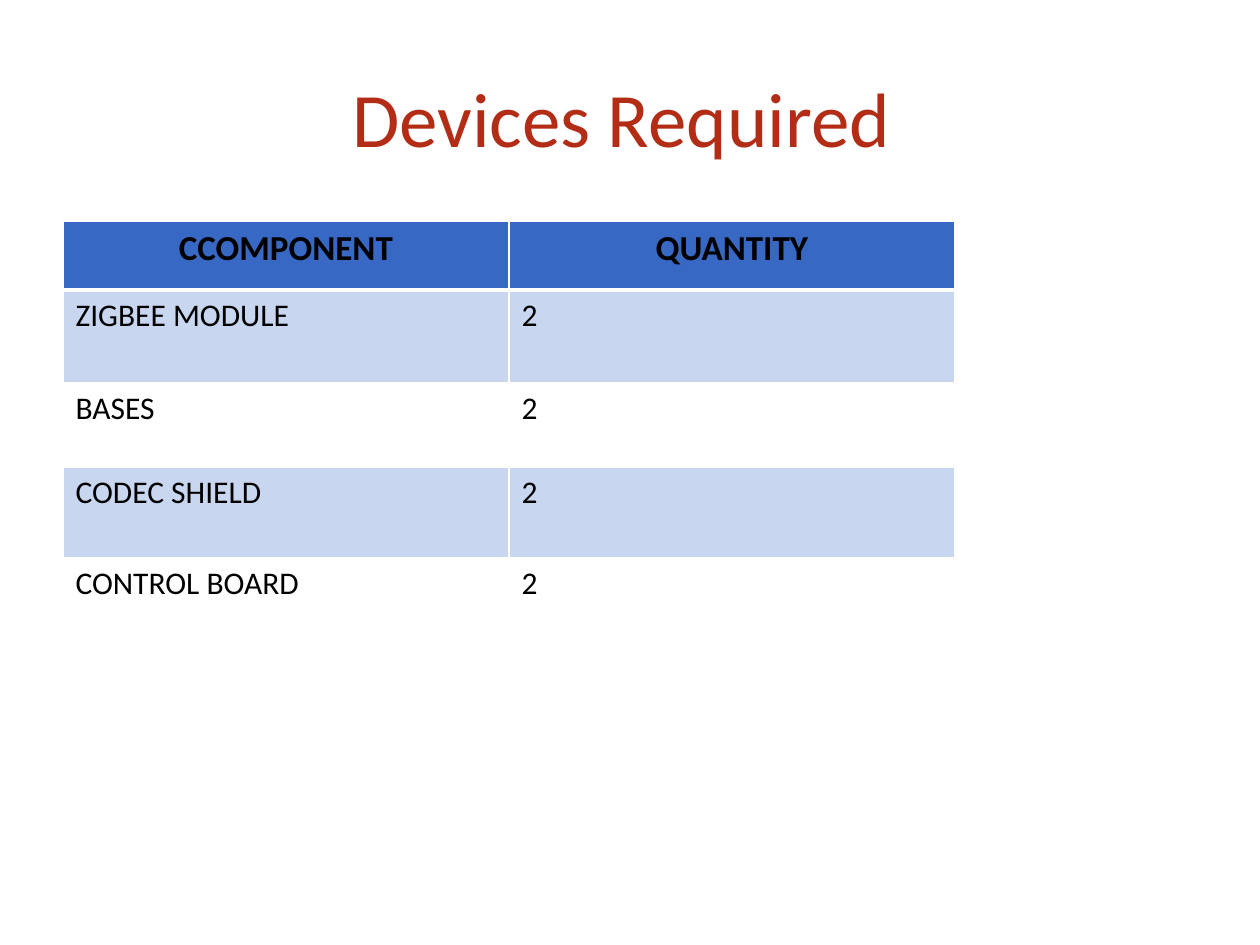
from dataclasses import dataclass

from lxml import etree
from pptx import Presentation
from pptx.dml.color import RGBColor
from pptx.enum.text import MSO_ANCHOR, PP_ALIGN
from pptx.oxml.ns import qn
from pptx.util import Pt

EMU_PER_PX = 914400 / 126
CENTER, LEFT = PP_ALIGN.CENTER, PP_ALIGN.LEFT
MIDDLE = MSO_ANCHOR.MIDDLE
FONT = "Calibri"
WHITE = "FFFFFF"
TITLE_ONLY = 5


@dataclass
class DeviceRow:
    component: str
    quantity: str
    height: int
    fill: str
    size: int = 18
    bold: bool = False
    align: int = LEFT
    bottom_border: int = 1


HEADER_FILL, BAND_FILL = "3668C4", "C8D6F0"
ROWS = [
    DeviceRow("CCOMPONENT", "QUANTITY", 69, HEADER_FILL, 20, True, CENTER, 3),
    DeviceRow("ZIGBEE MODULE", "2", 93, BAND_FILL),
    DeviceRow("BASES", "2", 84, WHITE),
    DeviceRow("CODEC SHIELD", "2", 91, BAND_FILL),
    DeviceRow("CONTROL BOARD", "2", 84, WHITE),
]
COLUMN_WIDTH = 446


def px(length: int) -> int:
    return round(length * EMU_PER_PX)


def color(value: str) -> RGBColor:
    return RGBColor.from_string(value)


def format_text(text_frame, size: int, text_color: str, align, bold: bool = False) -> None:
    for paragraph in text_frame.paragraphs:
        paragraph.alignment = align
        for run in paragraph.runs:
            run.font.name = FONT
            run.font.size = Pt(size)
            run.font.bold = bold
            run.font.color.rgb = color(text_color)


def add_borders(cell, widths: dict[str, int]) -> None:
    properties = cell._tc.get_or_add_tcPr()
    for side, width in widths.items():
        line = etree.SubElement(properties, qn(f"a:ln{side}"), w=str(Pt(width)))
        fill = etree.SubElement(line, qn("a:solidFill"))
        etree.SubElement(fill, qn("a:srgbClr"), val=WHITE)


def draw_title(slide, text: str) -> None:
    title = slide.shapes.title
    title.left, title.top, title.width, title.height = map(px, (63, 38, 1134, 158))
    title.text_frame.text = text
    title.text_frame.vertical_anchor = MIDDLE
    format_text(title.text_frame, 44, "B32C16", CENTER)


def draw_table(slide, rows: list[DeviceRow], left: int, top: int) -> None:
    height = sum(row.height for row in rows)
    table = slide.shapes.add_table(
        len(rows), 2, px(left), px(top), px(2 * COLUMN_WIDTH), px(height)
    ).table
    for column in table.columns:
        column.width = px(COLUMN_WIDTH)
    top_border = 1
    for index, row in enumerate(rows):
        table.rows[index].height = px(row.height)
        borders = {"L": 1, "R": 1, "T": top_border, "B": row.bottom_border}
        for cell, text in zip(table.rows[index].cells, (row.component, row.quantity)):
            add_borders(cell, borders)
            cell.fill.solid()
            cell.fill.fore_color.rgb = color(row.fill)
            cell.text_frame.text = text
            format_text(cell.text_frame, row.size, "000000", row.align, row.bold)
        top_border = row.bottom_border


def main() -> None:
    presentation = Presentation()
    presentation.slide_width, presentation.slide_height = px(1260), px(945)
    slide = presentation.slides.add_slide(presentation.slide_layouts[TITLE_ONLY])

    # Heading
    draw_title(slide, "Devices Required ")

    # Components and their quantities
    draw_table(slide, ROWS, 63, 221)

    presentation.save("out.pptx")


if __name__ == "__main__":
    main()
